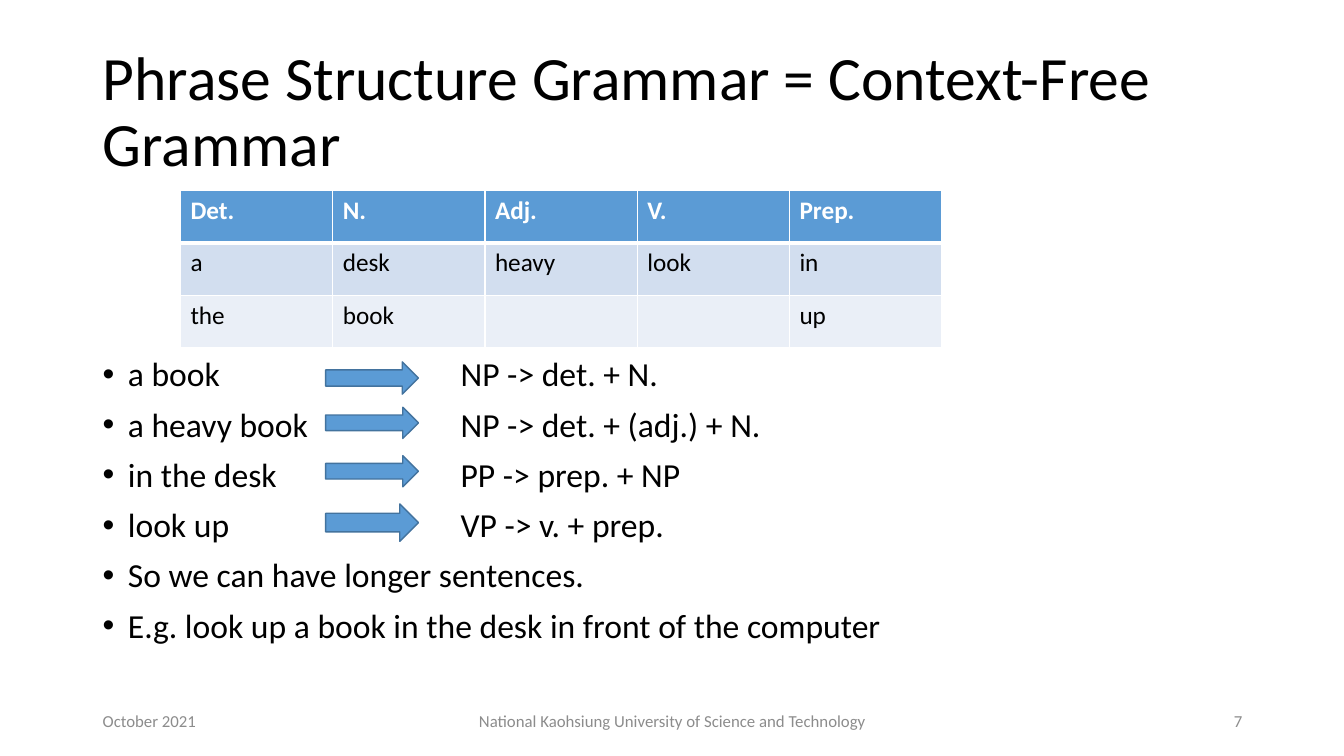
import pptx
import pptx.util
import pptx.dml.color
import pptx.enum.shapes
import pptx.enum.text
import pptx.oxml
import pptx.oxml.ns
from pptx.util import Inches

TITLE = "Phrase Structure Grammar = Context-Free Grammar"
WORDS = [
    ["Det.", "N.", "Adj.", "V.", "Prep."],
    ["a", "desk", "heavy", "look", "in"],
    ["the", "book", "", "", "up"],
]
LINES = [
    "a book\tNP -> det. + N.",
    "a heavy book\tNP -> det. + (adj.) + N.",
    "in the desk\tPP -> prep. + NP",
    "look up\tVP -> v. + prep.",
    "So we can have longer sentences.",
    "E.g. look up a book in the desk in front of the computer",
]
FOOT = [  # text, left, width, align
    ("October 2021", 0.92, 3, "LEFT"),
    ("National Kaohsiung University of Science and Technology", 4.42, 4.5, "CENTER"),
    ("7", 9.42, 3, "RIGHT"),
]
ARROWS = [(3.59, 0.32), (4.04, 0.31), (4.52, 0.31), (5, 0.37)]  # top, height
COLORS = {
    "text": "000000", "foot": "8C8C8C", "white": "FFFFFF",
    "blue": "5B9BD5", "edge": "43739E", "odd": "D2DEEF", "even": "EAEFF7",
}
FONT = "Calibri"
COL, ROW = 1.51, 0.52
INDENT, TAB = 0.25, 3.55


def color(name):
    return pptx.dml.color.RGBColor.from_string(COLORS[name])


def write(frame, lines, size, tint="text", bold=False, align="LEFT",
          space=1.0, before=0):
    frame.word_wrap = True
    for i, line in enumerate(lines):
        para = frame.add_paragraph() if i else frame.paragraphs[0]
        para.alignment = getattr(pptx.enum.text.PP_ALIGN, align)
        para.line_spacing = space
        para.space_before = pptx.util.Pt(before)
        run = para.add_run()
        run.text = line
        run.font.name = FONT
        run.font.size = pptx.util.Pt(size)
        run.font.bold = bold
        run.font.color.rgb = color(tint)


def add_text(slide, box, lines, size, middle=True, **style):
    frame = slide.shapes.add_textbox(*map(Inches, box)).text_frame
    anchor = pptx.enum.text.MSO_ANCHOR
    frame.vertical_anchor = anchor.MIDDLE if middle else anchor.TOP
    write(frame, lines, size, **style)
    return frame


def add_xml(parent, xml):
    space = pptx.oxml.ns.nsdecls("a")
    parent.append(pptx.oxml.parse_xml(xml.replace("@", space, 1)))


def add_bullets(frame):
    """Give each line a hanging bullet and a tab stop for its rule."""
    for para in frame.paragraphs:
        props = para._p.get_or_add_pPr()
        props.set("marL", str(Inches(INDENT)))
        props.set("indent", str(-Inches(INDENT)))
        add_xml(props, '<a:buFont @ typeface="Arial"/>')
        add_xml(props, '<a:buChar @ char="•"/>')
        add_xml(props, f'<a:tabLst @><a:tab pos="{Inches(TAB)}" algn="l"/></a:tabLst>')


def add_edges(cell, head):
    """Draw white cell borders, thicker below the header row."""
    for side in "LRTB":
        wide = pptx.util.Pt(3 if head and side == "B" else 1)
        add_xml(cell._tc.get_or_add_tcPr(),
                f'<a:ln{side} @ w="{wide}"><a:solidFill><a:srgbClr '
                f'val="{COLORS["white"]}"/></a:solidFill></a:ln{side}>')


def add_words(slide):
    rows, cols = len(WORDS), len(WORDS[0])
    box = (1.79, 1.89, cols * COL, rows * ROW)
    table = slide.shapes.add_table(rows, cols, *map(Inches, box)).table
    for col in table.columns:
        col.width = Inches(COL)
    for r, (words, fill) in enumerate(zip(WORDS, ("blue", "odd", "even"))):
        table.rows[r].height = Inches(ROW)
        head = r == 0
        for c, word in enumerate(words):
            cell = table.cell(r, c)
            add_edges(cell, head)
            cell.fill.solid()
            cell.fill.fore_color.rgb = color(fill)
            write(cell.text_frame, [word], 18, bold=head,
                  tint="white" if head else "text")


def add_arrow(slide, top, height):
    kind = pptx.enum.shapes.MSO_SHAPE.RIGHT_ARROW
    arrow = slide.shapes.add_shape(kind, *map(Inches, (3.23, top, 0.92, height)))
    arrow.shadow.inherit = False
    arrow.fill.solid()
    arrow.fill.fore_color.rgb = color("blue")
    arrow.line.color.rgb = color("edge")
    arrow.line.width = pptx.util.Pt(1)


def main():
    deck = pptx.Presentation()
    deck.slide_width, deck.slide_height = Inches(13.33), Inches(7.5)
    slide = deck.slides.add_slide(deck.slide_layouts[6])
    add_text(slide, (0.92, 0.4, 11.5, 1.45), [TITLE], 44, space=0.9)
    for text, left, width, align in FOOT:
        add_text(slide, (left, 6.95, width, 0.4), [text], 12, tint="foot", align=align)
    body = add_text(slide, (0.92, 3.5, 11.5, 3.26), LINES, 24, middle=False,
                    space=0.9, before=10)
    add_bullets(body)
    add_words(slide)
    for top, height in ARROWS:
        add_arrow(slide, top, height)
    deck.save("out.pptx")


if __name__ == "__main__":
    main()
